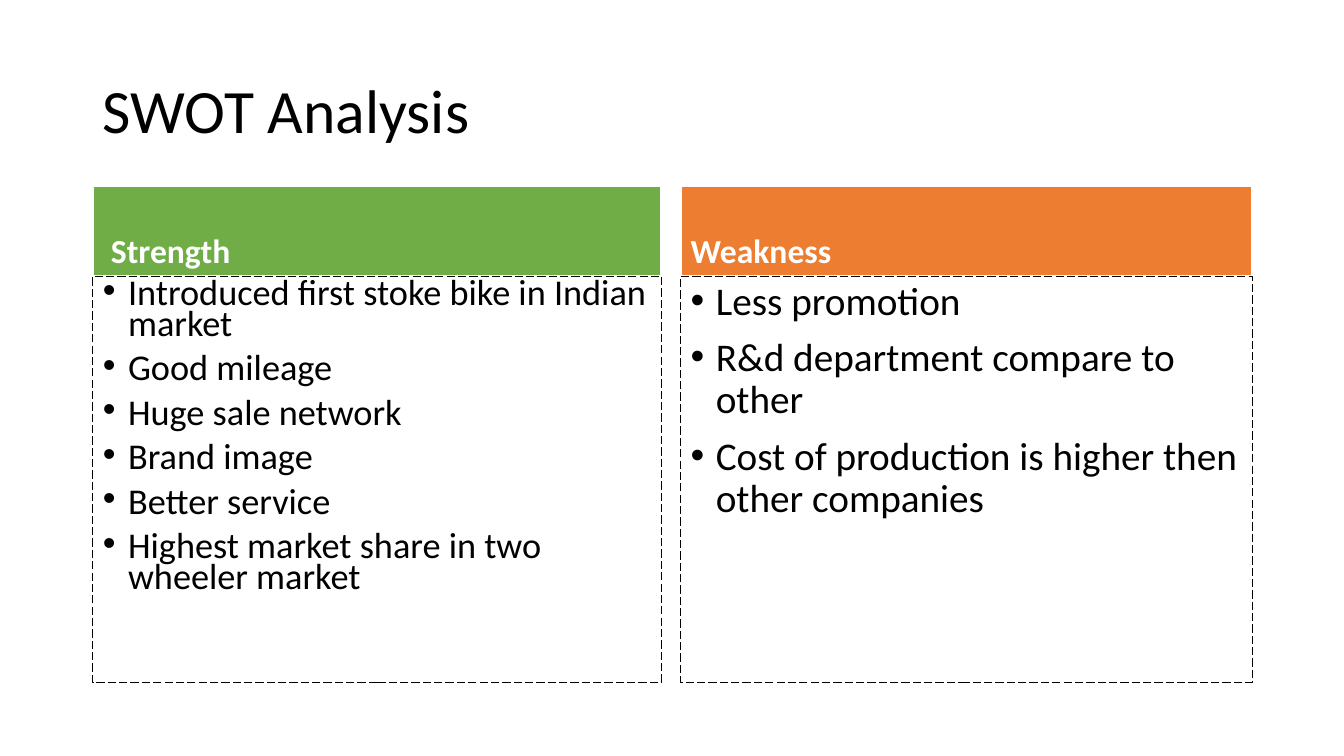
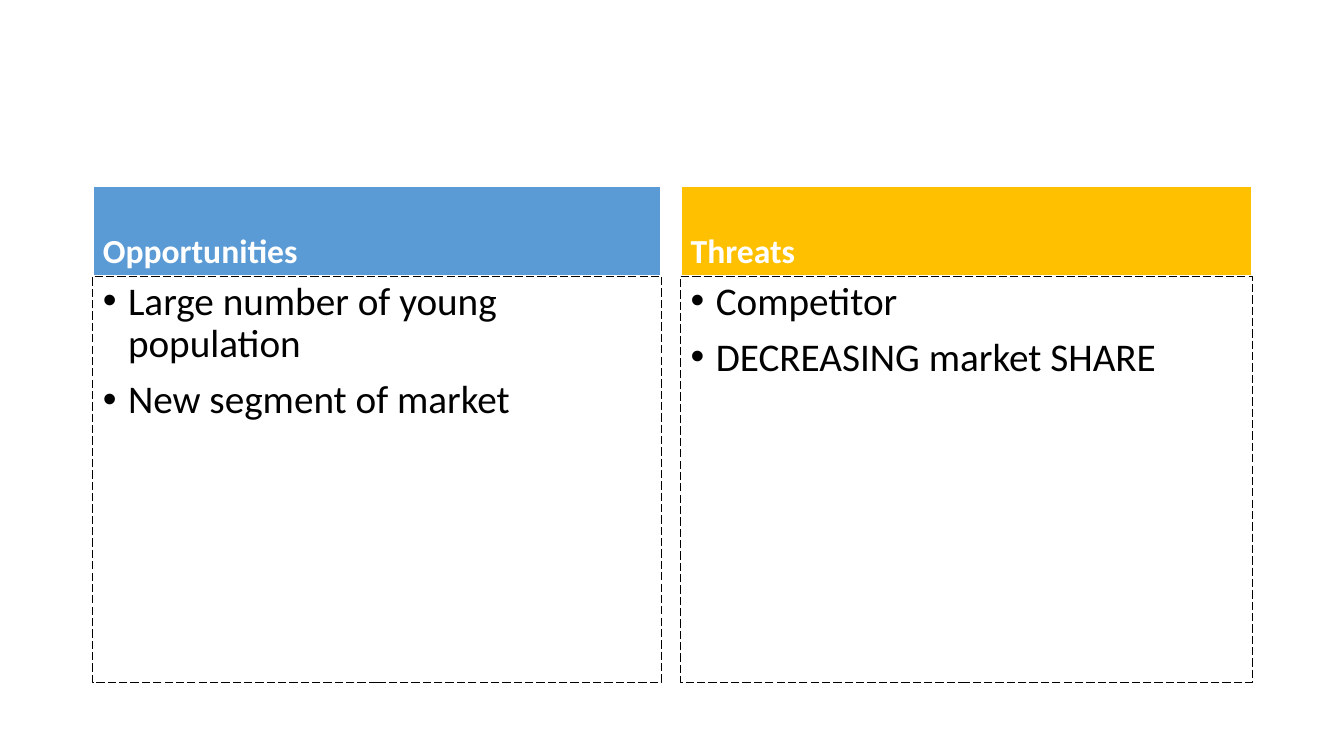
from dataclasses import dataclass

from pptx import Presentation
from pptx.dml.color import RGBColor
from pptx.enum.dml import MSO_LINE_DASH_STYLE as Dash
from pptx.enum.text import MSO_ANCHOR as Anchor, MSO_AUTO_SIZE as AutoSize, PP_ALIGN as Align
from pptx.oxml.ns import qn
from pptx.util import Inches, Pt
from lxml.etree import SubElement


@dataclass(frozen=True)
class Theme:
    """Colours, type sizes and positions shared by the slides."""
    font: str = "Calibri"
    text: str = "000000"
    light: str = "FFFFFF"
    green: str = "70AD47"
    orange: str = "ED7D31"
    blue: str = "5B9BD5"
    gold: str = "FFC000"
    title_size: float = 44
    heading_size: float = 24
    list_size: float = 28
    dense_size: float = 25.9
    spacing: float = 0.9
    dense_spacing: float = 0.7
    left: float = 0.92
    title_top: float = 0.4
    title_width: float = 11.5
    title_height: float = 1.45
    heading_top: float = 1.84
    heading_height: float = 0.9
    list_height: float = 4.03
    columns: tuple = ((0.92, 5.64), (6.75, 5.67))


@dataclass(frozen=True)
class Quadrant:
    """One heading with its list of points."""
    heading: str
    color: str
    points: tuple
    dense: bool = False
    heading_indent: float = 0


THEME = Theme()
COMPARISON_LAYOUT = 4


def place(shape, left, top, width, height):
    """Move and size a placeholder, in inches."""
    shape.left, shape.top = Inches(left), Inches(top)
    shape.width, shape.height = Inches(width), Inches(height)


def write(shape, lines, size, color, anchor, bold=False, spacing=THEME.spacing, before=0):
    """Fill a placeholder with formatted paragraphs."""
    frame = shape.text_frame
    frame.text = "\n".join(lines)
    frame.auto_size = AutoSize.NONE
    frame.word_wrap = True
    frame.vertical_anchor = anchor
    for paragraph in frame.paragraphs:
        paragraph.alignment = Align.LEFT
        paragraph.line_spacing = spacing
        paragraph.space_before = Pt(before)
        for run in paragraph.runs:
            run.font.name = THEME.font
            run.font.size = Pt(size)
            run.font.bold = bold
            run.font.color.rgb = RGBColor.from_string(color)


def outline(shape, color, width, dash=None):
    """Draw the border of a placeholder."""
    shape.line.color.rgb = RGBColor.from_string(color)
    shape.line.width = Pt(width)
    if dash is not None:
        shape.line.dash_style = dash


def add_bullets(shape):
    """Give every paragraph a hanging bullet."""
    for paragraph in shape.text_frame.paragraphs:
        properties = paragraph._p.get_or_add_pPr()
        properties.set("marL", str(Inches(0.25)))
        properties.set("indent", str(Inches(-0.25)))
        SubElement(properties, qn("a:buFont")).set("typeface", "Arial")
        SubElement(properties, qn("a:buChar")).set("char", "•")


def fill_title(slide, text):
    """Write the title, or remove its placeholder when there is none."""
    title = slide.shapes.title
    if not text:
        title.element.getparent().remove(title.element)
        return
    place(title, THEME.left, THEME.title_top, THEME.title_width, THEME.title_height)
    write(title, [text], THEME.title_size, THEME.text, Anchor.MIDDLE)


def fill_heading(shape, quadrant, left, width):
    """Make the coloured heading band of a quadrant."""
    place(shape, left, THEME.heading_top, width, THEME.heading_height)
    shape.fill.solid()
    shape.fill.fore_color.rgb = RGBColor.from_string(quadrant.color)
    outline(shape, THEME.light, 1.5)
    write(shape, [quadrant.heading], THEME.heading_size, THEME.light, Anchor.BOTTOM,
          bold=True, before=10)
    shape.text_frame.margin_left = Inches(0.1 + quadrant.heading_indent)


def fill_list(shape, quadrant, left, width):
    """Make the dashed list box of a quadrant."""
    place(shape, left, THEME.heading_top + THEME.heading_height, width, THEME.list_height)
    outline(shape, THEME.text, 0.75, Dash.LONG_DASH)
    size = THEME.dense_size if quadrant.dense else THEME.list_size
    spacing = THEME.dense_spacing if quadrant.dense else THEME.spacing
    write(shape, quadrant.points, size, THEME.text, Anchor.TOP, spacing=spacing, before=10)
    add_bullets(shape)


def add_comparison(presentation, title, quadrants):
    """Add a slide that sets two quadrants side by side."""
    slide = presentation.slides.add_slide(presentation.slide_layouts[COMPARISON_LAYOUT])
    fill_title(slide, title)
    for column, (quadrant, (left, width)) in enumerate(zip(quadrants, THEME.columns)):
        heading_index = 1 + 2 * column
        placeholders = {shape.placeholder_format.idx: shape for shape in slide.placeholders}
        fill_heading(placeholders[heading_index], quadrant, left, width)
        fill_list(placeholders[heading_index + 1], quadrant, left, width)


def main():
    """Build and save the presentation."""
    presentation = Presentation()
    presentation.slide_width, presentation.slide_height = Inches(13.33), Inches(7.5)
    strength = Quadrant("Strength", THEME.green, (
        "Introduced first stoke bike in Indian market",
        "Good mileage",
        "Huge sale network",
        "Brand image",
        "Better service",
        "Highest market share in two wheeler market",
    ), dense=True, heading_indent=0.08)
    weakness = Quadrant("Weakness", THEME.orange, (
        "Less promotion",
        "R&d department compare to other",
        "Cost of production is higher then other companies",
    ))
    opportunities = Quadrant("Opportunities", THEME.blue, (
        "Large number of young population",
        "New segment of market",
    ))
    threats = Quadrant("Threats", THEME.gold, (
        "Competitor",
        "DECREASING market SHARE",
    ))
    add_comparison(presentation, "SWOT Analysis", (strength, weakness))
    add_comparison(presentation, None, (opportunities, threats))
    presentation.save("out.pptx")


if __name__ == "__main__":
    main()
